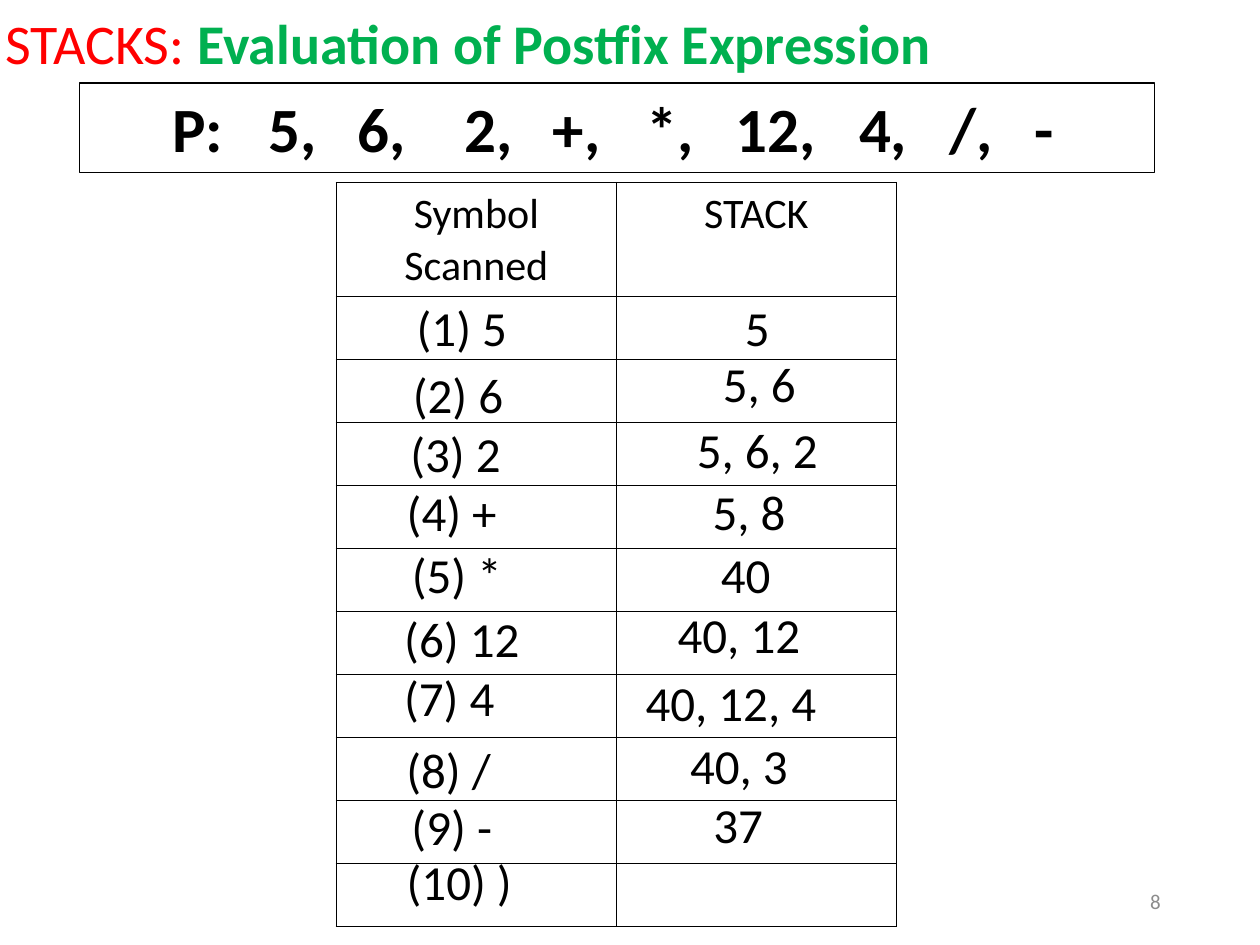
from typing import NamedTuple

import pptx
import pptx.dml.color
import pptx.enum.shapes
import pptx.enum.text
import pptx.oxml.ns
import pptx.util
from lxml import etree

Pt = pptx.util.Pt
RGBColor = pptx.dml.color.RGBColor
Align = pptx.enum.text.PP_ALIGN
Anchor = pptx.enum.text.MSO_ANCHOR
AutoSize = pptx.enum.text.MSO_AUTO_SIZE
qn = pptx.oxml.ns.qn

BLACK = RGBColor(0x00, 0x00, 0x00)
RED = RGBColor(0xFF, 0x00, 0x00)
GREEN = RGBColor(0x00, 0xB0, 0x50)
GRAY = RGBColor(0x8C, 0x8C, 0x8C)

EXPRESSION = ["P:", "5,", "6,", "2,", "+,", "*,", "12,", "4,", "/,", "-"]
EXPRESSION_TABS = [55, 106, 167, 217.5, 271, 322, 392.5, 444, 493]
HEADERS = ["Symbol Scanned", "STACK"]
STEP_COUNT = 10
LABEL_HEIGHT = 41


class Label(NamedTuple):
    text: str
    left: float
    top: float
    width: float


SCANNED = [
    Label("(1) 5", 230.4, 166.3, 67),
    Label("(2) 6", 228.2, 204.5, 67),
    Label("(3) 2", 226.8, 238.3, 67),
    Label("(4) +", 224.6, 272.2, 67),
    Label("(5) *", 227.5, 307.4, 67),
    Label("(6) 12", 223.2, 344.2, 81.4),
    Label("(7) 4", 223.2, 378, 67),
    Label("(8) /", 224.6, 419, 63.4),
    Label("(9) -", 227.5, 451.4, 61.2),
    Label("(10) )", 224.6, 483.1, 75.6),
]
STACK = [
    Label("5", 418.3, 166.3, 28.8),
    Label("5, 6", 405.4, 198.7, 56.9),
    Label("5, 6, 2", 390.2, 236.2, 85),
    Label("5, 8", 399.6, 271.4, 56.9),
    Label("40", 404.6, 307.4, 43.2),
    Label("40, 12", 379.4, 342, 85.7),
    Label("40, 12, 4", 360.7, 380.9, 113.8),
    Label("40, 3", 386.6, 416.9, 71.3),
    Label("37", 400.3, 450.7, 43.2),
]


def set_format(target, values: dict) -> None:
    for name, value in values.items():
        setattr(target, name, value)


def add_run(paragraph, text: str, size: float, color: RGBColor, bold: bool = False) -> None:
    run = paragraph.add_run()
    run.text = text
    set_format(run.font, {"name": "Calibri", "size": Pt(size), "bold": bold})
    run.font.color.rgb = color


def add_title(slide) -> None:
    title = slide.shapes.title
    set_format(title, {"left": Pt(-4.3), "top": Pt(1.4), "width": Pt(665.3), "height": Pt(46.1)})
    set_format(title.text_frame, {
        "word_wrap": True, "vertical_anchor": Anchor.TOP, "auto_size": AutoSize.NONE})
    paragraph = title.text_frame.paragraphs[0]
    paragraph.alignment = Align.LEFT
    add_run(paragraph, "STACKS: ", 32, RED)
    add_run(paragraph, "Evaluation of Postfix Expression", 32, GREEN, True)


def add_expression(slide) -> None:
    box = slide.shapes.add_shape(
        pptx.enum.shapes.MSO_SHAPE.RECTANGLE, Pt(45.4), Pt(47.5), Pt(614.2), Pt(51.1))
    box.shadow.inherit = False
    box.fill.background()
    box.line.color.rgb = BLACK
    box.line.width = Pt(0.75)
    set_format(box.text_frame, {
        "word_wrap": True, "vertical_anchor": Anchor.TOP, "margin_left": Pt(53)})
    paragraph = box.text_frame.paragraphs[0]
    paragraph.alignment = Align.LEFT
    tabs = etree.SubElement(paragraph._p.get_or_add_pPr(), qn("a:tabLst"))
    for position in EXPRESSION_TABS:
        etree.SubElement(tabs, qn("a:tab"), pos=str(int(Pt(position))), algn="l")
    add_run(paragraph, "\t".join(EXPRESSION), 36, BLACK, True)


def set_borders(cell) -> None:
    properties = cell._tc.get_or_add_tcPr()
    for index, side in enumerate(("lnL", "lnR", "lnT", "lnB")):
        line = etree.Element(qn(f"a:{side}"), w=str(int(Pt(1))))
        fill = etree.SubElement(line, qn("a:solidFill"))
        etree.SubElement(fill, qn("a:srgbClr"), val=str(BLACK))
        properties.insert(index, line)


def add_trace_table(slide) -> None:
    table = slide.shapes.add_table(
        STEP_COUNT + 1, len(HEADERS), Pt(192.2), Pt(104.4), Pt(320), Pt(425)).table
    set_format(table, {"first_row": False, "horz_banding": False})
    for row in table.rows:
        row.height = Pt(36)
    table.rows[0].height = Pt(65)
    for cell in table.iter_cells():
        cell.fill.background()
        set_borders(cell)
    for column, header in enumerate(HEADERS):
        paragraph = table.cell(0, column).text_frame.paragraphs[0]
        paragraph.alignment = Align.CENTER
        add_run(paragraph, header, 24, BLACK)


def add_label(slide, label: Label) -> None:
    box = slide.shapes.add_textbox(
        Pt(label.left), Pt(label.top), Pt(label.width), Pt(LABEL_HEIGHT))
    set_format(box.text_frame, {"word_wrap": False, "auto_size": AutoSize.SHAPE_TO_FIT_TEXT})
    paragraph = box.text_frame.paragraphs[0]
    paragraph.alignment = Align.CENTER
    add_run(paragraph, label.text, 28, BLACK)


def add_page_number(slide) -> None:
    box = slide.shapes.add_textbox(Pt(508.3), Pt(500.4), Pt(162), Pt(28.8))
    set_format(box.text_frame, {"word_wrap": True, "vertical_anchor": Anchor.MIDDLE})
    paragraph = box.text_frame.paragraphs[0]
    paragraph.alignment = Align.RIGHT
    add_run(paragraph, "8", 12, GRAY)


def main() -> None:
    presentation = pptx.Presentation()
    set_format(presentation, {"slide_width": Pt(720), "slide_height": Pt(540)})
    slide = presentation.slides.add_slide(presentation.slide_layouts.get_by_name("Title Only"))
    add_page_number(slide)
    add_title(slide)
    add_expression(slide)
    add_trace_table(slide)
    for label in SCANNED + STACK:
        add_label(slide, label)
    presentation.save("out.pptx")


if __name__ == "__main__":
    main()
